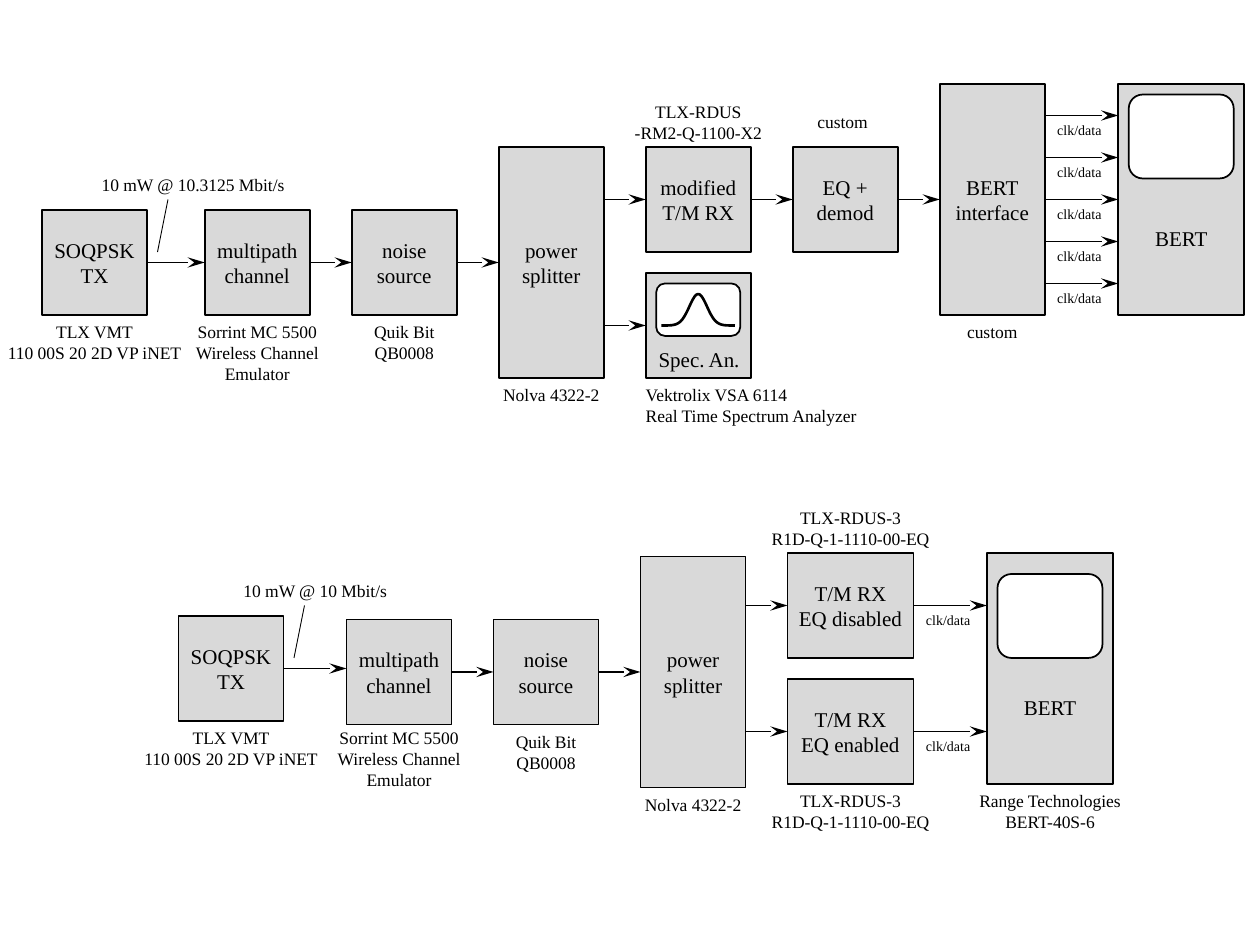
from math import exp

from lxml.etree import SubElement
from pptx import Presentation
from pptx.dml.color import RGBColor
from pptx.enum.shapes import MSO_CONNECTOR, MSO_SHAPE
from pptx.enum.text import MSO_ANCHOR, MSO_AUTO_SIZE, PP_ALIGN
from pptx.oxml.ns import qn
from pptx.util import Pt

BLACK, GREY, WHITE = "000000", "D9D9D9", "FFFFFF"
LEFT_SIDE, RIGHT_SIDE = 1, 3


def color(hex_string):
    return RGBColor.from_string(hex_string)


def middle(shape):
    return shape.top.pt + shape.height.pt / 2


class Diagram:
    font_name = "Times New Roman"

    def __init__(self, slide):
        self.slide = slide

    def format_text(self, frame, text, size, align):
        frame.text = text
        for paragraph in frame.paragraphs:
            paragraph.alignment = align
            paragraph.font.name = self.font_name
            paragraph.font.size = Pt(size)
            paragraph.font.color.rgb = color(BLACK)

    def shape(self, kind, fill, left, top, width, height):
        shape = self.slide.shapes.add_shape(kind, Pt(left), Pt(top), Pt(width), Pt(height))
        shape.shadow.inherit = False
        shape.fill.solid()
        shape.fill.fore_color.rgb = color(fill)
        shape.line.color.rgb = color(BLACK)
        shape.line.width = Pt(1)
        return shape

    def block(self, text, left, top, width=60, height=60, text_drop=0):
        """Grey box; text_drop lowers its centred text by that many points."""
        shape = self.shape(MSO_SHAPE.RECTANGLE, GREY, left, top, width, height)
        if text:
            frame = shape.text_frame
            frame.word_wrap = True
            frame.vertical_anchor = MSO_ANCHOR.MIDDLE
            frame.margin_left = frame.margin_right = 0
            frame.margin_top = Pt(3.6 + 2 * text_drop)
            self.format_text(frame, text, 12, PP_ALIGN.CENTER)
        return shape

    def screen(self, left, top, width, height):
        self.shape(MSO_SHAPE.ROUNDED_RECTANGLE, WHITE, left, top, width, height)

    def bert(self, left, top, screen_drop):
        shape = self.block("BERT", left, top, 72, 132, text_drop=22)
        self.screen(left + 6, top + screen_drop, 60, 48)
        return shape

    def label(self, text, left, top, width, size=10, align=PP_ALIGN.CENTER,
              inset=7.2, wrap=True, rows=None):
        rows = rows or text.count("\n") + 1
        height = 7.2 + 1.2 * size * rows
        box = self.slide.shapes.add_textbox(Pt(left), Pt(top), Pt(width), Pt(height))
        frame = box.text_frame
        frame.word_wrap = wrap
        frame.auto_size = MSO_AUTO_SIZE.SHAPE_TO_FIT_TEXT
        frame.margin_left = frame.margin_right = Pt(inset)
        self.format_text(frame, text, size, align)

    def line(self, start, end, width):
        connector = self.slide.shapes.add_connector(
            MSO_CONNECTOR.STRAIGHT, *(Pt(value) for value in (*start, *end)))
        connector.line.color.rgb = color(BLACK)
        connector.line.width = Pt(width)
        SubElement(connector._element.spPr, qn("a:effectLst"))
        return connector

    def arrow(self, source, target, y=None, text=None):
        """Level arrow at y, joined wherever y is the middle of a block's side."""
        y = middle(target) if y is None else y
        start = source.left.pt + source.width.pt
        connector = self.line((start, y), (target.left.pt, y), 1)
        SubElement(connector.line._get_or_add_ln(), qn("a:tailEnd"),
                   type="stealth", w="med", len="lg")
        if y == middle(source):
            connector.begin_connect(source, RIGHT_SIDE)
        if y == middle(target):
            connector.end_connect(target, LEFT_SIDE)
        if text:
            self.label(text, start, y, 40, size=8, align=PP_ALIGN.LEFT, wrap=False)

    def spectrum(self, left, base, width, height, deviation):
        """Bell curve standing on the base line."""
        points = [(Pt(left + step),
                   Pt(base - height * exp(-((step - width / 2) / deviation) ** 2 / 2)))
                  for step in range(width + 1)]
        builder = self.slide.shapes.build_freeform(*points[0])
        builder.add_line_segments(points[1:], close=False)
        curve = builder.convert_to_shape()
        curve.shadow.inherit = False
        curve.fill.background()
        curve.line.color.rgb = color(BLACK)
        curve.line.width = Pt(1.5)

    def signal_chain(self, rate, transmitter_at, channel_at):
        """Transmitter to power splitter with captions; returns the splitter."""
        tx_left, tx_top = transmitter_at
        left, top = channel_at
        transmitter = self.block("SOQPSK\nTX", tx_left, tx_top)
        channel = self.block("multipath\nchannel", left, top)
        noise = self.block("noise\nsource", left + 84, top)
        splitter = self.block("power\nsplitter", left + 168, top - 36, height=132)
        self.arrow(transmitter, channel, middle(transmitter))
        self.arrow(channel, noise)
        self.arrow(noise, splitter)

        self.label(rate, left - 66, tx_top - 24, 120, align=PP_ALIGN.LEFT, wrap=False)
        self.line((tx_left + 72, tx_top - 6), (tx_left + 66, tx_top + 24), 0.5)
        self.label("TLX VMT\n110 00S 20 2D VP iNET", tx_left - 24, tx_top + 60, 108, inset=0)
        self.label("Sorrint MC 5500\nWireless Channel Emulator",
                   left - 12, tx_top + 60, 84, inset=0, rows=3)
        self.label("Quik Bit\nQB0008", left + 84, top + 60, 60)
        self.label("Nolva 4322-2", left + 168, top + 96, 60, inset=0)
        return splitter


def draw_custom_setup(diagram):
    splitter = diagram.signal_chain("10 mW @ 10.3125 Mbit/s", (24, 120), (117, 120))
    receiver = diagram.block("modified\nT/M RX", 369, 84)
    demodulator = diagram.block("EQ +\ndemod", 453, 84)
    interface = diagram.block("BERT\ninterface", 537, 48, height=132)
    bert = diagram.bert(639, 48, screen_drop=6)
    analyzer = diagram.block("", 369, 156)
    diagram.screen(375, 162, 48, 30)
    diagram.spectrum(378, 186, 42, 18, 5)
    diagram.label("Spec. An.", 369, 194.4, 61, size=12, wrap=False)

    for source, target in ((splitter, receiver), (splitter, analyzer),
                           (receiver, demodulator), (demodulator, interface)):
        diagram.arrow(source, target)
    for channel in range(5):
        diagram.arrow(interface, bert, 66 + 24 * channel, "clk/data")

    diagram.label("TLX-RDUS\n-RM2-Q-1100-X2", 351, 54, 96)
    diagram.label("custom", 453, 60, 57)
    diagram.label("custom", 537, 180, 60)
    diagram.label("Vektrolix VSA 6114\nReal Time Spectrum Analyzer", 369, 216, 138,
                  align=PP_ALIGN.LEFT, inset=0)


def draw_receiver_setup(diagram):
    splitter = diagram.signal_chain("10 mW @ 10 Mbit/s", (102, 352), (198, 354))
    bert = diagram.bert(564, 316, screen_drop=12)
    for state, top, caption_top in (("disabled", 316, 286), ("enabled", 388, 448)):
        receiver = diagram.block(f"T/M RX\nEQ {state}", 450, top, width=72)
        diagram.arrow(splitter, receiver)
        diagram.arrow(receiver, bert, middle(receiver), "clk/data")
        diagram.label("TLX-RDUS-3\nR1D-Q-1-1110-00-EQ", 432, caption_top, 108)
    diagram.label("Range Technologies\nBERT-40S-6", 552, 448, 96, inset=0)


def main():
    presentation = Presentation()
    presentation.slide_width, presentation.slide_height = Pt(720), Pt(540)
    blank_layout = presentation.slide_layouts[6]
    diagram = Diagram(presentation.slides.add_slide(blank_layout))
    draw_custom_setup(diagram)
    draw_receiver_setup(diagram)
    presentation.save("out.pptx")


if __name__ == "__main__":
    main()
